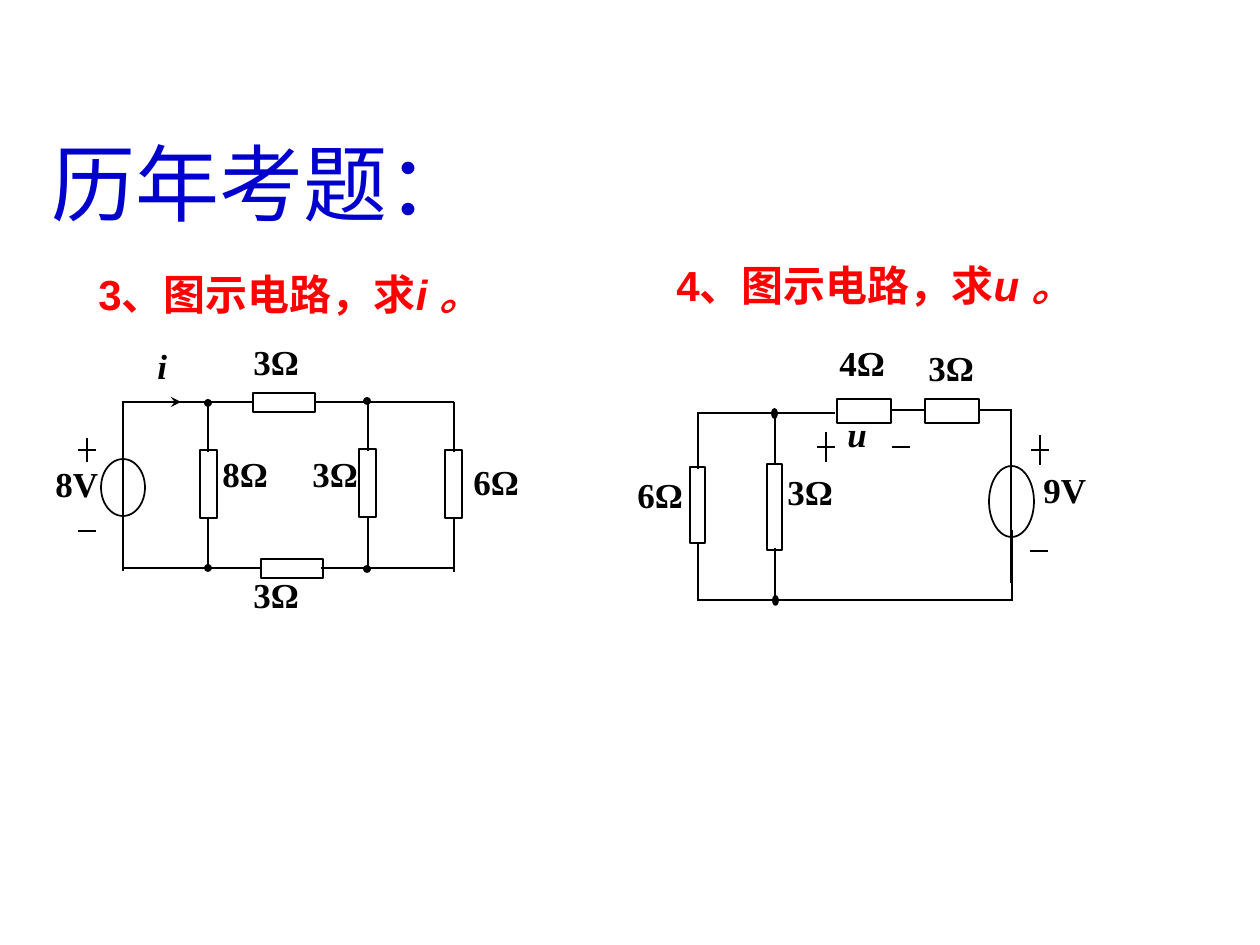
from dataclasses import dataclass

from lxml import etree
from pptx import Presentation
from pptx import util as u
from pptx.dml.color import RGBColor
from pptx.enum import shapes, text
from pptx.oxml.ns import qn


@dataclass(frozen=True)
class Theme:
    title: str = "0000CC"
    question: str = "FF0000"
    ink: str = "000000"
    serif: str = "Times New Roman"
    sans: str = "Arial"
    title_size: int = 48
    question_size: int = 24
    label_size: int = 20
    line_width: int = 1


THEME = Theme()
PX = 914400 // 126
SLIDE_SIZE = (1260, 945)
SIGN_WIDTH = 19

TITLE = ("历年考题：", (39, 125, 1133, 113))
QUESTIONS = [
    ("3、图示电路，求", "i 。", (86, 262, 426, 63), True),
    ("4、图示电路，求", "u 。", (664, 253, 452, 63), False),
]

CIRCUITS = [
    {
        "horizontal_wires": [
            (402, 122, 241), (402, 215, 253), (402, 315, 353), (402, 334, 454),
            (568, 123, 242), (568, 223, 261), (568, 321, 359), (568, 334, 454),
        ],
        "vertical_wires": [
            (123, 402, 571),
            (208, 402, 452), (208, 517, 571),
            (368, 401, 451), (368, 517, 570),
            (454, 402, 452), (454, 518, 572),
        ],
        "current_arrows": [(402, 151, 181)],
        "resistors": [
            (200, 450, 17, 68), (359, 449, 17, 68), (445, 450, 17, 68),
            (253, 393, 62, 19), (261, 559, 62, 19),
        ],
        "sources": [(101, 459, 44, 57)],
        "node_size": (6, 6),
        "nodes": [(208, 403), (367, 401), (208, 568), (367, 569)],
        "pluses": [(87, 450, 24)],
        "minuses": [(87, 531)],
        "labels": [
            ("8V", (43, 456, 74, 60)), ("6Ω", (461, 454, 118, 60)),
            ("3Ω", (241, 334, 102, 60)), ("3Ω", (241, 567, 102, 60)),
            ("8Ω", (210, 446, 102, 60)), ("3Ω", (300, 446, 79, 60)),
        ],
        "variable": ("i", (145, 338, 59, 68)),
    },
    {
        "horizontal_wires": [
            (413, 697, 801), (413, 791, 835),
            (410, 892, 925), (410, 979, 1012),
            (600, 699, 849), (600, 767, 916), (600, 862, 1012),
        ],
        "vertical_wires": [
            (698, 413, 469), (698, 542, 601),
            (775, 411, 464), (775, 548, 601),
            (1011, 411, 583), (1012, 530, 601),
        ],
        "current_arrows": [],
        "resistors": [
            (690, 467, 15, 76), (767, 464, 15, 86),
            (837, 399, 54, 24), (925, 399, 54, 24),
        ],
        "sources": [(989, 466, 45, 71)],
        "node_size": (5, 9),
        "nodes": [(774, 413), (775, 600)],
        "pluses": [(826, 447, 31), (1040, 450, 30)],
        "minuses": [(901, 447), (1039, 551)],
        "labels": [
            ("9V", (1031, 462, 74, 76)), ("4Ω", (827, 335, 89, 76)),
            ("3Ω", (775, 464, 89, 76)), ("3Ω", (916, 340, 89, 76)),
            ("6Ω", (625, 467, 89, 76)),
        ],
        "variable": ("u", (835, 406, 59, 84)),
    },
]


def px(values):
    return [u.Emu(value * PX) for value in values]


def add_text(parent, content, box, *, size, color, font, bold=False,
             italic=False, italic_tail="", wrap=True, middle=False, justify=False):
    frame = parent.add_textbox(*px(box)).text_frame
    frame.word_wrap = wrap
    if middle:
        frame.vertical_anchor = text.MSO_ANCHOR.MIDDLE
    paragraph = frame.paragraphs[0]
    if justify:
        paragraph.alignment = text.PP_ALIGN.JUSTIFY
    for words, slanted in ((content, italic), (italic_tail, True)):
        if words:
            run = paragraph.add_run()
            run.text = words
            run.font.size = u.Pt(size)
            run.font.name = font
            run.font.bold = bold
            run.font.italic = slanted
            run.font.color.rgb = RGBColor.from_string(color)


def add_label(parent, content, box, italic=False):
    add_text(parent, content, box, size=THEME.label_size, color=THEME.ink,
             font=THEME.serif, bold=True, italic=italic, justify=True)


def style_line(line):
    line.color.rgb = RGBColor.from_string(THEME.ink)
    line.width = u.Pt(THEME.line_width)


def add_line(parent, x1, y1, x2, y2, arrow=False):
    connector = parent.add_connector(
        shapes.MSO_CONNECTOR.STRAIGHT, *px((x1, y1, x2, y2)))
    style_line(connector.line)
    properties = connector._element.spPr
    if arrow:
        etree.SubElement(properties.find(qn("a:ln")), qn("a:tailEnd"), type="stealth")
    etree.SubElement(properties, qn("a:effectLst"))


def add_part(parent, kind, box, filled=False):
    shape = parent.add_shape(kind, *px(box))
    shape.shadow.inherit = False
    style_line(shape.line)
    if filled:
        shape.fill.solid()
        shape.fill.fore_color.rgb = RGBColor.from_string(THEME.ink)
    else:
        shape.fill.background()


def add_circuit(slide, circuit):
    parent = slide.shapes.add_group_shape().shapes
    preset = shapes.MSO_SHAPE
    for y, x1, x2 in circuit["horizontal_wires"]:
        add_line(parent, x1, y, x2, y)
    for x, y1, y2 in circuit["vertical_wires"]:
        add_line(parent, x, y1, x, y2)
    for y, x1, x2 in circuit["current_arrows"]:
        add_line(parent, x1, y, x2, y, arrow=True)
    for box in circuit["resistors"]:
        add_part(parent, preset.RECTANGLE, box)
    for box in circuit["sources"]:
        add_part(parent, preset.OVAL, box)
    width, height = circuit["node_size"]
    for x, y in circuit["nodes"]:
        box = (x - width // 2, y - height // 2, width, height)
        add_part(parent, preset.FLOWCHART_CONNECTOR, box, filled=True)
    half = SIGN_WIDTH // 2
    for x, y, height in circuit["pluses"]:
        add_line(parent, x - half, y, x + half, y)
        add_line(parent, x, y - height // 2, x, y + height // 2)
    for x, y in circuit["minuses"]:
        add_line(parent, x - half, y, x + half, y)
    for content, box in circuit["labels"]:
        add_label(parent, content, box)
    add_label(parent, *circuit["variable"], italic=True)


def main():
    presentation = Presentation()
    presentation.slide_width, presentation.slide_height = px(SLIDE_SIZE)
    slide = presentation.slides.add_slide(presentation.slide_layouts[6])
    add_text(slide.shapes, *TITLE, size=THEME.title_size,
             color=THEME.title, font=THEME.serif)
    for content, variable, box, wrap in QUESTIONS:
        add_text(slide.shapes, content, box, size=THEME.question_size,
                 color=THEME.question, font=THEME.sans, bold=True,
                 italic_tail=variable, wrap=wrap, middle=True)
    for circuit in CIRCUITS:
        add_circuit(slide, circuit)
    presentation.save("out.pptx")


if __name__ == "__main__":
    main()
